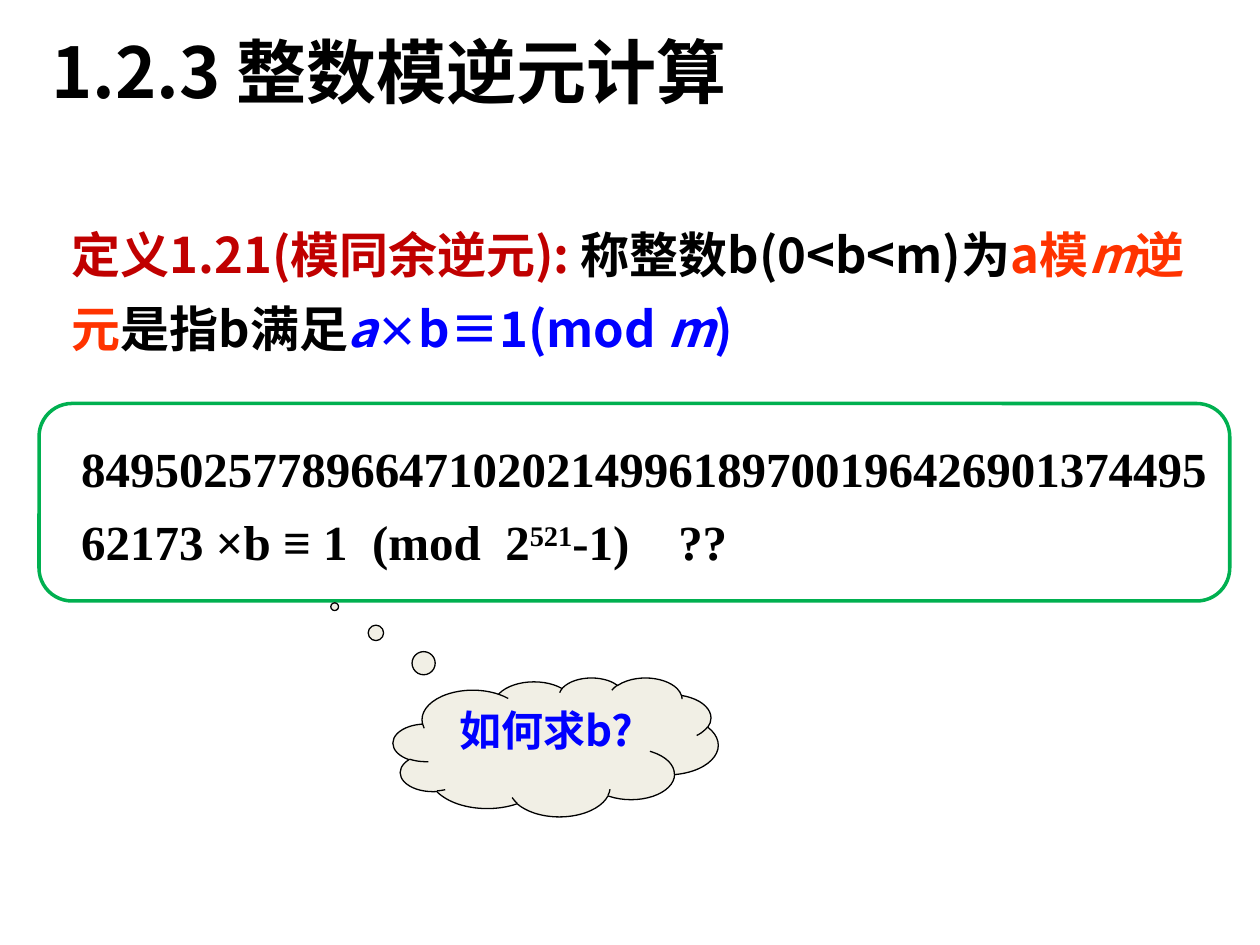
import dataclasses
import pptx
import pptx.dml.color
import pptx.enum.shapes
import pptx.enum.text
import pptx.oxml.ns
import pptx.util
import lxml.etree


@dataclasses.dataclass(frozen=True)
class Theme:
    sans: str = "Noto Sans CJK SC"
    serif: str = "Times New Roman"
    black: str = "000000"
    term: str = "C00000"
    accent: str = "FF3300"
    formula: str = "0000FF"
    frame: str = "00B050"
    cloud: str = "F1EFE5"
    title_size: int = 40
    body_size: int = 28
    small_size: int = 24


THEME = Theme()
WIDTH, HEIGHT = 10, 7.5
ANCHOR = pptx.enum.text.MSO_ANCHOR
SHAPE = pptx.enum.shapes.MSO_SHAPE


def share(left, top, width, height):
    return [pptx.util.Inches(part * side)
            for part, side in zip((left, top, width, height), (WIDTH, HEIGHT) * 2)]


def place(shape, box):
    shape.left, shape.top, shape.width, shape.height = box


def rgb(color):
    return pptx.dml.color.RGBColor.from_string(color)


def add_run(para, text, color, size, face=THEME.sans, italic=False, baseline=0):
    span = para.add_run()
    span.text = text
    font = span.font
    font.name, font.size = face, pptx.util.Pt(size)
    font.bold, font.italic = True, italic
    font.color.rgb = rgb(color)
    properties = span._r.get_or_add_rPr()
    latin = properties.find(pptx.oxml.ns.qn("a:latin"))
    east_asian = lxml.etree.Element(pptx.oxml.ns.qn("a:ea"), typeface=face)
    latin.addnext(east_asian)
    if baseline:
        properties.set("baseline", str(baseline * 1000))


def start_paragraph(shape, anchor, spacing=1, before=0):
    frame = shape.text_frame
    frame.word_wrap = True
    frame.auto_size = pptx.enum.text.MSO_AUTO_SIZE.NONE
    frame.vertical_anchor = anchor
    para = frame.paragraphs[0]
    para.alignment = pptx.enum.text.PP_ALIGN.LEFT
    para.line_spacing = spacing
    para.space_before = pptx.util.Pt(before)
    return para


def add_outlined(page, kind, box, line, weight, fill=None):
    shape = page.shapes.add_shape(kind, *box)
    shape.shadow.inherit = False
    shape.line.color.rgb = rgb(line)
    shape.line.width = pptx.util.Pt(weight)
    if fill:
        shape.fill.solid()
        shape.fill.fore_color.rgb = rgb(fill)
    else:
        shape.fill.background()
    return shape


def write_title(page, box):
    title = page.shapes.title
    place(title, box)
    add_run(start_paragraph(title, ANCHOR.MIDDLE), "1.2.3 整数模逆元计算",
            THEME.black, THEME.title_size)


def write_definition(page, box):
    body = page.placeholders[1]
    place(body, box)
    para = start_paragraph(body, ANCHOR.MIDDLE, 1.25, 12)
    properties = para._p.get_or_add_pPr()
    properties.set("marL", "0")
    properties.set("indent", "0")
    lxml.etree.SubElement(properties, pptx.oxml.ns.qn("a:buNone"))
    size = THEME.body_size
    for text, color, points, italic in (
        ("定义1.21(模同余逆元): ", THEME.term, size, False),
        ("称整数b(0<b<m)为", THEME.black, size, False),
        ("a模", THEME.accent, size, False),
        ("m", THEME.accent, size, True),
        ("逆元", THEME.accent, size, False),
        ("是指b满足", THEME.black, size, False),
        ("a", THEME.formula, size, True),
        ("×", THEME.formula, THEME.small_size, False),
        ("b≡1(mod", THEME.formula, size, False),
        (" m", THEME.formula, size, True),
        (")", THEME.formula, size, False),
    ):
        add_run(para, text, color, points, italic=italic)


def draw_example(page, box):
    left, top, width, height = box
    add_outlined(page, SHAPE.ROUNDED_RECTANGLE, box, THEME.frame, 2)
    text_box = page.shapes.add_textbox(
        left + int(width * 0.025), top + int(height * 0.1),
        int(width * 0.967), int(height * 0.75))
    para = start_paragraph(text_box, ANCHOR.MIDDLE, 1.25, 24)
    for text, baseline in (
        ("849502577896647102021499618970019642690137449562173 ×b ≡ 1  (mod  2", 0),
        ("521", 30),
        ("-1)    ??", 0),
    ):
        add_run(para, text, THEME.black, THEME.body_size, THEME.serif, baseline=baseline)


def draw_question(page, box):
    cloud = add_outlined(page, SHAPE.CLOUD_CALLOUT, box, THEME.black, 0.75, THEME.cloud)
    cloud.adjustments[0], cloud.adjustments[1] = -0.68, -1.01
    add_run(start_paragraph(cloud, ANCHOR.TOP), " 如何求b?", THEME.formula, THEME.small_size)


def main():
    deck = pptx.Presentation()
    deck.slide_width, deck.slide_height = share(0, 0, 1, 1)[2:]
    page = deck.slides.add_slide(deck.slide_layouts[1])
    write_definition(page, share(0.047, 0.185, 0.934, 0.23))
    write_title(page, share(0.031, 0.007, 0.828, 0.136))
    draw_example(page, share(0.031, 0.427, 0.945, 0.209))
    draw_question(page, share(0.312, 0.717, 0.258, 0.147))
    deck.save("out.pptx")


if __name__ == "__main__":
    main()
